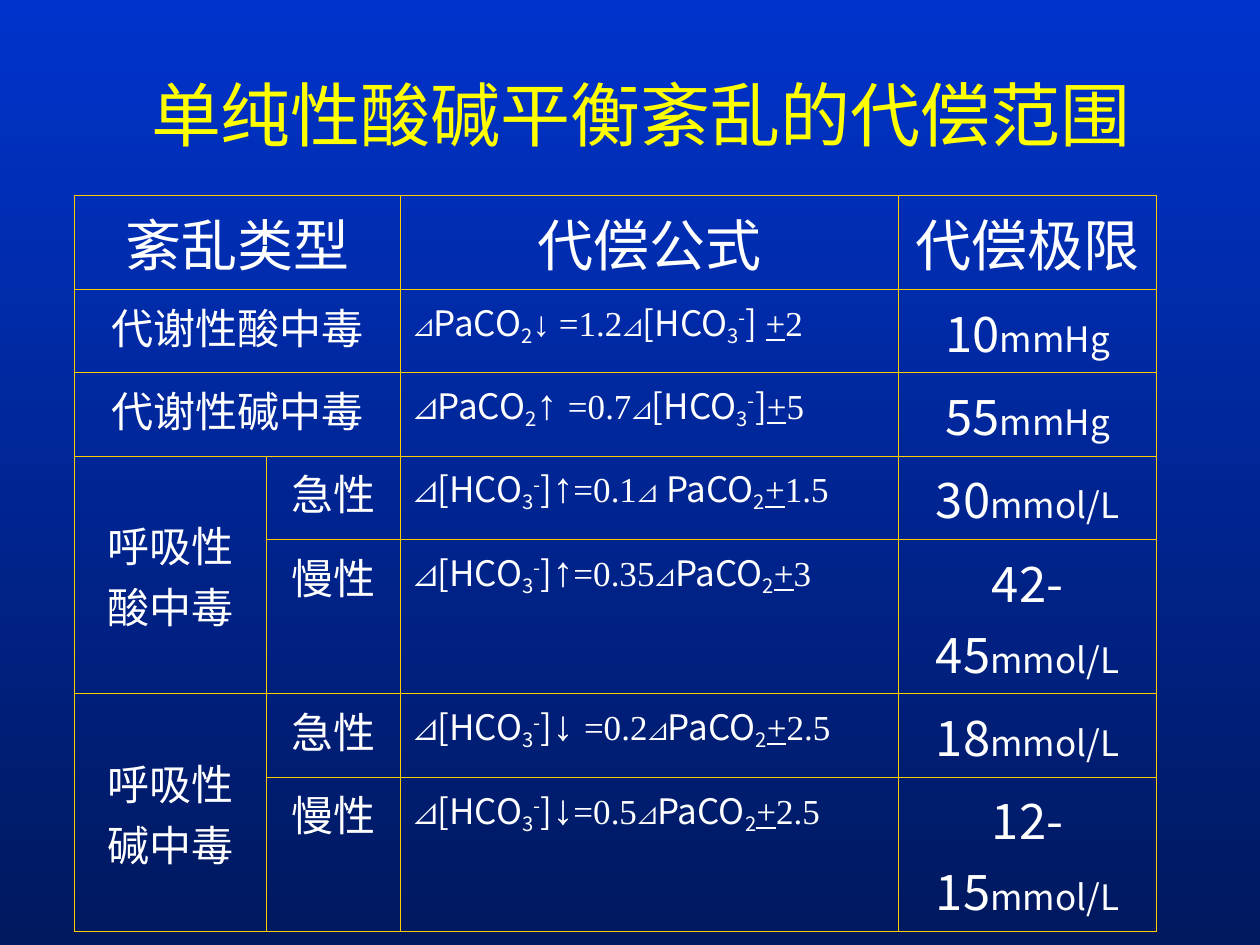
from dataclasses import dataclass

from lxml import etree
from pptx import Presentation
from pptx.dml.color import RGBColor
from pptx.enum.text import MSO_ANCHOR, PP_ALIGN
from pptx.oxml.ns import qn
from pptx.util import Pt

CENTER, LEFT = PP_ALIGN.CENTER, PP_ALIGN.LEFT
TOP, MIDDLE = MSO_ANCHOR.TOP, MSO_ANCHOR.MIDDLE

SKY = RGBColor(0x00, 0x33, 0xCC)
NAVY = RGBColor(0x00, 0x18, 0x5E)
YELLOW = RGBColor(0xFF, 0xFF, 0x00)
WHITE = RGBColor(0xFF, 0xFF, 0xFF)
GOLD = RGBColor(0xFF, 0xCC, 0x00)

SERIF, SANS = "Times New Roman", "Noto Sans CJK SC"
BORDER_WIDTH = Pt(0.45)
COLUMN_WIDTHS = (109.5, 77, 284.5, 147.5)
ROW_HEIGHTS = (46, 46, 46, 46, 67, 46, 67)


@dataclass(frozen=True)
class Span:
    text: str
    size: float = 20
    name: str = SERIF
    underline: bool = False
    baseline: int = 0  # percent of the text size


@dataclass(frozen=True)
class Entry:
    row: int
    column: int
    spans: tuple[Span, ...]
    align: PP_ALIGN = CENTER
    anchor: MSO_ANCHOR = TOP
    row_span: int = 1
    column_span: int = 1


# Building blocks of the formulas
DELTA = Span("⊿", 24)
SUB_2 = Span("2", name=SANS, baseline=-20)
PACO2 = (Span("PaCO", name=SANS), SUB_2)
HCO3 = (
    Span("[HCO", name=SANS),
    Span("3", name=SANS, baseline=-20),
    Span("-", name=SANS, baseline=30),
)
CLOSE = Span("]", name=SANS)
PLUS = Span("+", underline=True)


def metabolic(delta: Span, arrow: Span, factor: str, close: Span, margin: str) -> tuple[Span, ...]:
    return (delta, *PACO2, arrow, Span(factor), *HCO3, close, PLUS, Span(margin))


def respiratory(arrow: str, factor: str, margin: str) -> tuple[Span, ...]:
    return (DELTA, *HCO3, CLOSE, Span(arrow, 24), Span(factor), *PACO2, PLUS, Span(margin))


HEADINGS = ((0, "紊乱类型", 2), (2, "代偿公式", 1), (3, "代偿极限", 1))
# row, column, text, rows spanned, columns spanned
DISORDERS = (
    (1, 0, "代谢性酸中毒", 1, 2),
    (2, 0, "代谢性碱中毒", 1, 2),
    (3, 0, "呼吸性酸中毒", 2, 1),
    (3, 1, "急性", 1, 1),
    (4, 1, "慢性", 1, 1),
    (5, 0, "呼吸性碱中毒", 2, 1),
    (5, 1, "急性", 1, 1),
    (6, 1, "慢性", 1, 1),
)
FORMULAS = (
    metabolic(Span("⊿"), Span("↓ "), "=1.2⊿", Span("] ", name=SANS), "2"),
    metabolic(DELTA, Span("↑ ", 24), "=0.7⊿", CLOSE, "5"),
    respiratory("↑", "=0.1⊿ ", "1.5"),
    respiratory("↑", "=0.35⊿", "3"),
    respiratory("↓ ", "=0.2⊿", "2.5"),
    respiratory("↓", "=0.5⊿", "2.5"),
)
LIMITS = (
    ("10", "mmHg"),
    ("55", "mmHg"),
    ("30", "mmol/L"),
    ("42-45", "mmol/L"),
    ("18", "mmol/L"),
    ("12-15", "mmol/L"),
)


def table_entries() -> list[Entry]:
    entries = [
        Entry(0, column, (Span(text, 32),), column_span=width)
        for column, text, width in HEADINGS
    ]
    for row, column, text, rows, columns in DISORDERS:
        anchor = MIDDLE if rows > 1 else TOP
        entries.append(Entry(row, column, (Span(text, 24),), CENTER, anchor, rows, columns))
    for row, (formula, (value, unit)) in enumerate(zip(FORMULAS, LIMITS), start=1):
        entries.append(Entry(row, 2, formula, LEFT))
        entries.append(Entry(row, 3, (Span(value, 28, SANS), Span(unit, 20, SANS))))
    return entries


def write_spans(para, spans: tuple[Span, ...], color: RGBColor) -> None:
    for span in spans:
        run = para.add_run()
        run.text = span.text
        formats = {"size": Pt(span.size), "name": span.name, "underline": span.underline or None}
        for key, value in formats.items():
            setattr(run.font, key, value)
        run.font.color.rgb = color
        if span.baseline:
            run._r.get_or_add_rPr().set("baseline", str(span.baseline * 1000))


def style_cell(cell) -> None:
    properties = cell._tc.get_or_add_tcPr()
    for side in ("lnL", "lnR", "lnT", "lnB"):
        line = etree.SubElement(properties, qn(f"a:{side}"), w=str(BORDER_WIDTH))
        fill = etree.SubElement(line, qn("a:solidFill"))
        etree.SubElement(fill, qn("a:srgbClr"), val=str(GOLD))
    cell.fill.background()


def fill_cell(table, entry: Entry) -> None:
    cell = table.cell(entry.row, entry.column)
    if entry.row_span > 1 or entry.column_span > 1:
        cell.merge(table.cell(entry.row + entry.row_span - 1, entry.column + entry.column_span - 1))
    cell.vertical_anchor = entry.anchor
    para = cell.text_frame.paragraphs[0]
    para.alignment = entry.align
    write_spans(para, entry.spans, WHITE)


def add_title(page) -> None:
    box = page.shapes.title
    place = {"left": Pt(60), "top": Pt(20), "width": Pt(612), "height": Pt(90)}
    for key, value in place.items():
        setattr(box, key, value)
    box.text_frame.vertical_anchor = MIDDLE
    para = box.text_frame.paragraphs[0]
    para.alignment = CENTER
    write_spans(para, (Span("单纯性酸碱平衡紊乱的代偿范围", 40),), YELLOW)


def add_compensation_table(page) -> None:
    table = page.shapes.add_table(
        len(ROW_HEIGHTS), len(COLUMN_WIDTHS),
        Pt(42.5), Pt(111.5), Pt(sum(COLUMN_WIDTHS)), Pt(sum(ROW_HEIGHTS)),
    ).table
    table.first_row = table.horz_banding = False
    for column, width in zip(table.columns, COLUMN_WIDTHS):
        column.width = Pt(width)
    for row, height in zip(table.rows, ROW_HEIGHTS):
        row.height = Pt(height)
    for cell in table.iter_cells():
        style_cell(cell)
    for entry in table_entries():
        fill_cell(table, entry)


def main() -> None:
    deck = Presentation()
    deck.slide_width, deck.slide_height = Pt(720), Pt(540)
    page = deck.slides.add_slide(deck.slide_layouts[5])

    # Background: light blue at the top, dark at the bottom
    backdrop = page.background.fill
    backdrop.gradient()
    backdrop.gradient_angle = 270
    for stop, color, position in zip(backdrop.gradient_stops, (SKY, NAVY), (0, 1)):
        stop.color.rgb = color
        stop.position = position

    add_title(page)
    add_compensation_table(page)
    deck.save("out.pptx")


if __name__ == "__main__":
    main()
